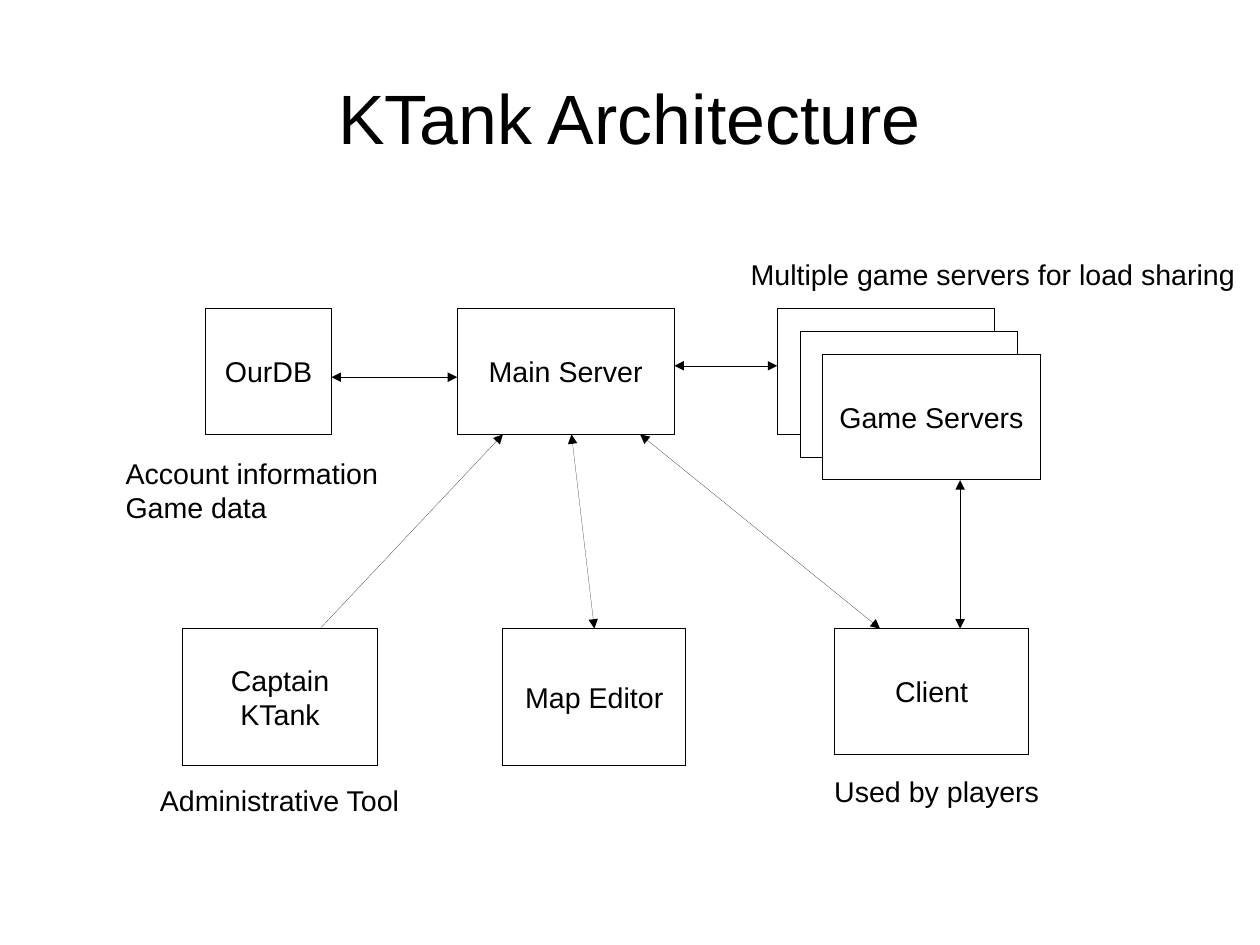
from lxml.etree import SubElement
from pptx import Presentation
from pptx.dml.color import RGBColor
from pptx.enum.shapes import MSO_CONNECTOR, MSO_SHAPE
from pptx.enum.text import MSO_ANCHOR, MSO_AUTO_SIZE, PP_ALIGN
from pptx.oxml.ns import qn
from pptx.util import Cm, Inches, Pt

COLORS = {"ink": "000000", "paper": "FFFFFF"}
FONT = "Arial"
TITLE = "KTank Architecture"
SERVER_STACK = [[], [], ["Game Servers"]]
STACK_LEFT, STACK_TOP, STACK_STEP = 6.8, 2.7, 0.2
BOXES = [
    (["OurDB"], 1.8, 2.7, 1.1, 1.1),
    (["Main Server"], 4, 2.7, 1.9, 1.1),
    *[(lines, STACK_LEFT + index * STACK_STEP, STACK_TOP + index * STACK_STEP,
       1.9, 1.1) for index, lines in enumerate(SERVER_STACK)],
    (["Map Editor"], 4.4, 5.5, 1.6, 1.2),
    (["Client"], 7.3, 5.5, 1.7, 1.1),
    (["Captain", "KTank"], 1.6, 5.5, 1.7, 1.2),
]
ARROWS = [
    ((2.9, 3.3), (4, 3.3), True),
    ((5.9, 3.2), (6.8, 3.2), True),
    ((2.8, 5.5), (4.4, 3.8), False),
    ((5.2, 5.5), (5, 3.8), True),
    ((7.7, 5.5), (5.6, 3.8), True),
    ((8.4, 5.5), (8.4, 4.2), True),
]
LABELS = [
    (["Multiple game servers for load sharing"], 6.47, 2.2, 4.44, 0.38),
    (["Administrative Tool"], 1.3, 6.8, 2.29, 0.38),
    (["Used by players"], 7.2, 6.72, 1.99, 0.38),
    (["Account information", "Game data"], 1, 3.94, 2.41, 0.66),
]


def color(name):
    return RGBColor.from_string(COLORS[name])


def write(frame, lines, size, align):
    frame.text = "\n".join(lines)
    for para in frame.paragraphs:
        para.alignment = align
        para.font.name = FONT
        para.font.size = Pt(size)
        para.font.color.rgb = color("ink")


def hairline(line):
    line.color.rgb = color("ink")
    outline = line._get_or_add_ln()
    outline.set("w", "0")
    return outline


def add_title(page):
    title = page.shapes.title
    title.left, title.top = Inches(0.55), Inches(0.33)
    title.width, title.height = Inches(9.92), Inches(1.38)
    frame = title.text_frame
    frame.margin_left = frame.margin_right = 0
    frame.margin_top = frame.margin_bottom = 0
    frame.vertical_anchor = MSO_ANCHOR.MIDDLE
    write(frame, [TITLE], 44, PP_ALIGN.CENTER)


def add_box(page, lines, *place):
    box = page.shapes.add_shape(MSO_SHAPE.RECTANGLE, *map(Inches, place))
    box.shadow.inherit = False
    box.fill.solid()
    box.fill.fore_color.rgb = color("paper")
    hairline(box.line)
    if lines:
        box.text_frame.vertical_anchor = MSO_ANCHOR.MIDDLE
        write(box.text_frame, lines, 18, PP_ALIGN.CENTER)


def add_arrow(page, start, end, both_ways):
    arrow = page.shapes.add_connector(
        MSO_CONNECTOR.STRAIGHT, *map(Inches, start + end))
    outline = hairline(arrow.line)
    for tag in ["a:headEnd", "a:tailEnd"] if both_ways else ["a:tailEnd"]:
        SubElement(outline, qn(tag), type="triangle")
    SubElement(arrow._element.spPr, qn("a:effectLst"))


def add_label(page, lines, *place):
    label = page.shapes.add_textbox(*map(Inches, place))
    label.text_frame.word_wrap = False
    label.text_frame.auto_size = MSO_AUTO_SIZE.SHAPE_TO_FIT_TEXT
    write(label.text_frame, lines, 18, PP_ALIGN.LEFT)


def main():
    deck = Presentation()
    deck.slide_width, deck.slide_height = Cm(28), Cm(21)
    page = deck.slides.add_slide(deck.slide_layouts[5])
    add_title(page)
    for box in BOXES:
        add_box(page, *box)
    for arrow in ARROWS:
        add_arrow(page, *arrow)
    for label in LABELS:
        add_label(page, *label)
    deck.save("out.pptx")


if __name__ == "__main__":
    main()
